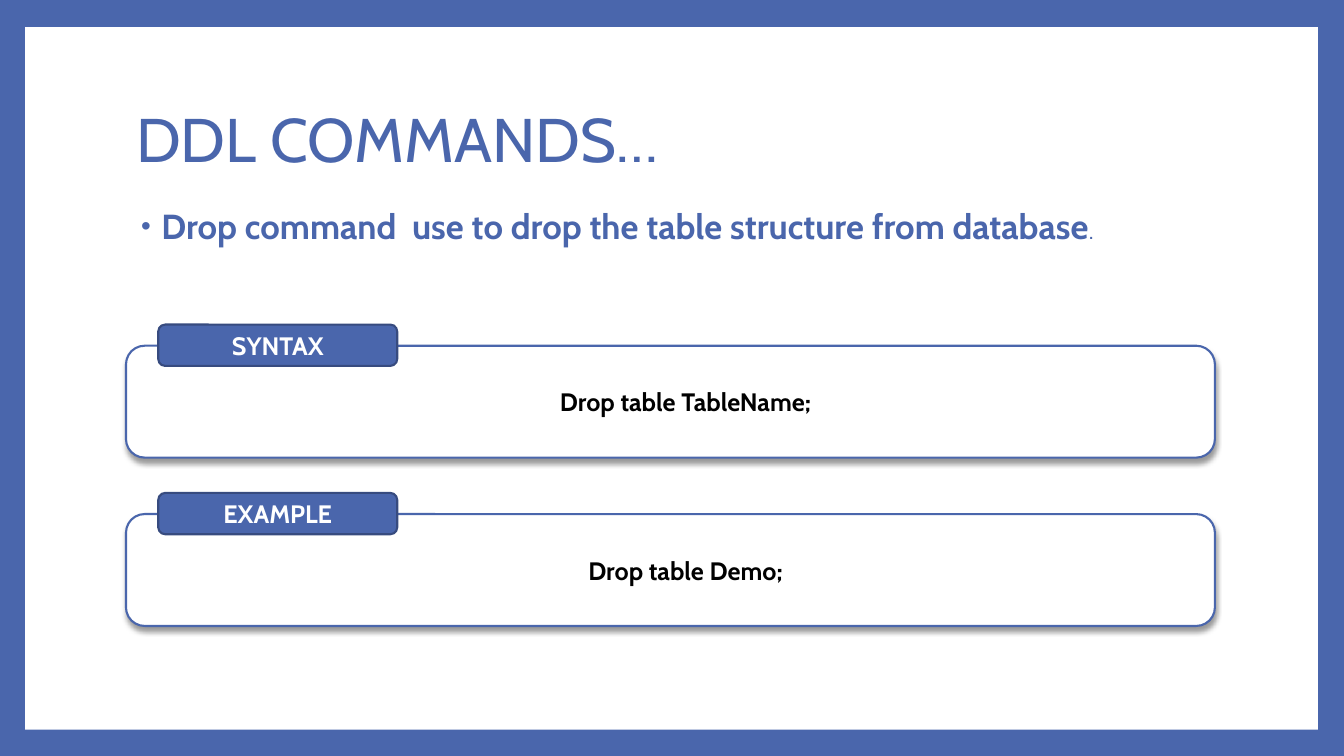
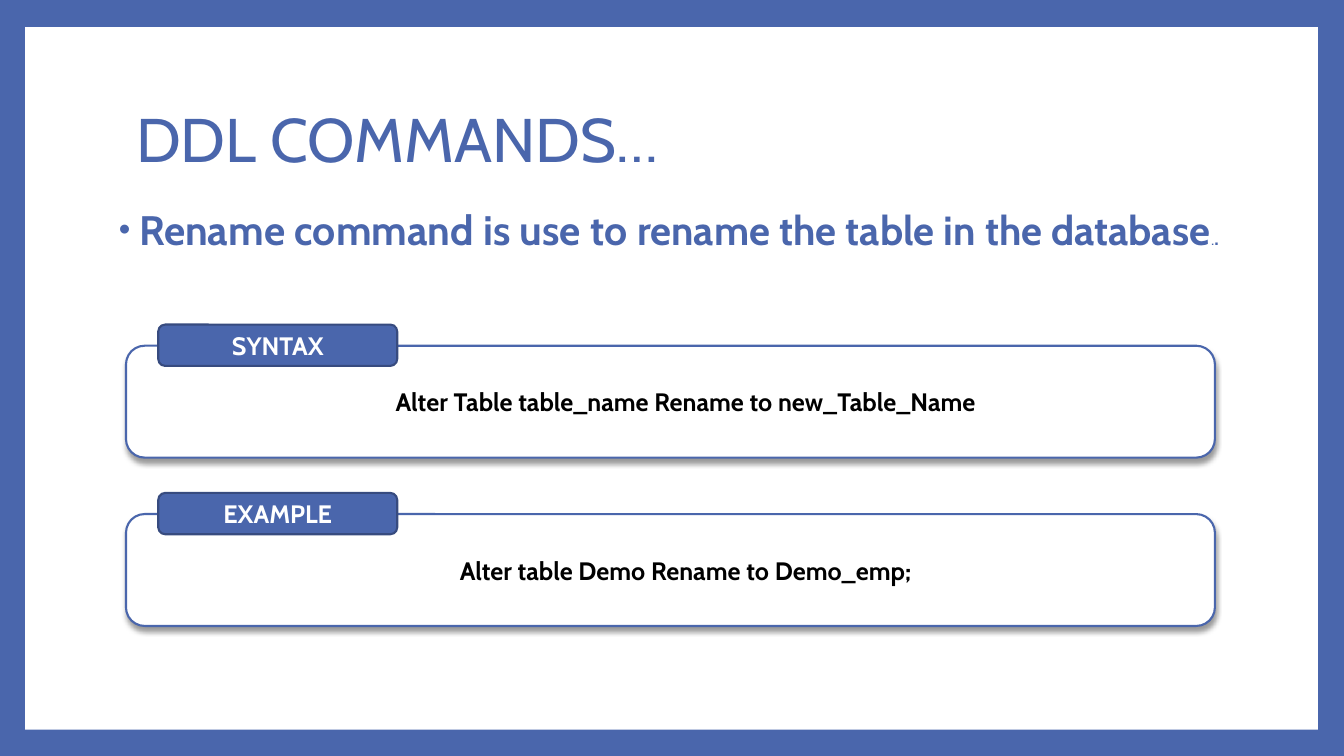
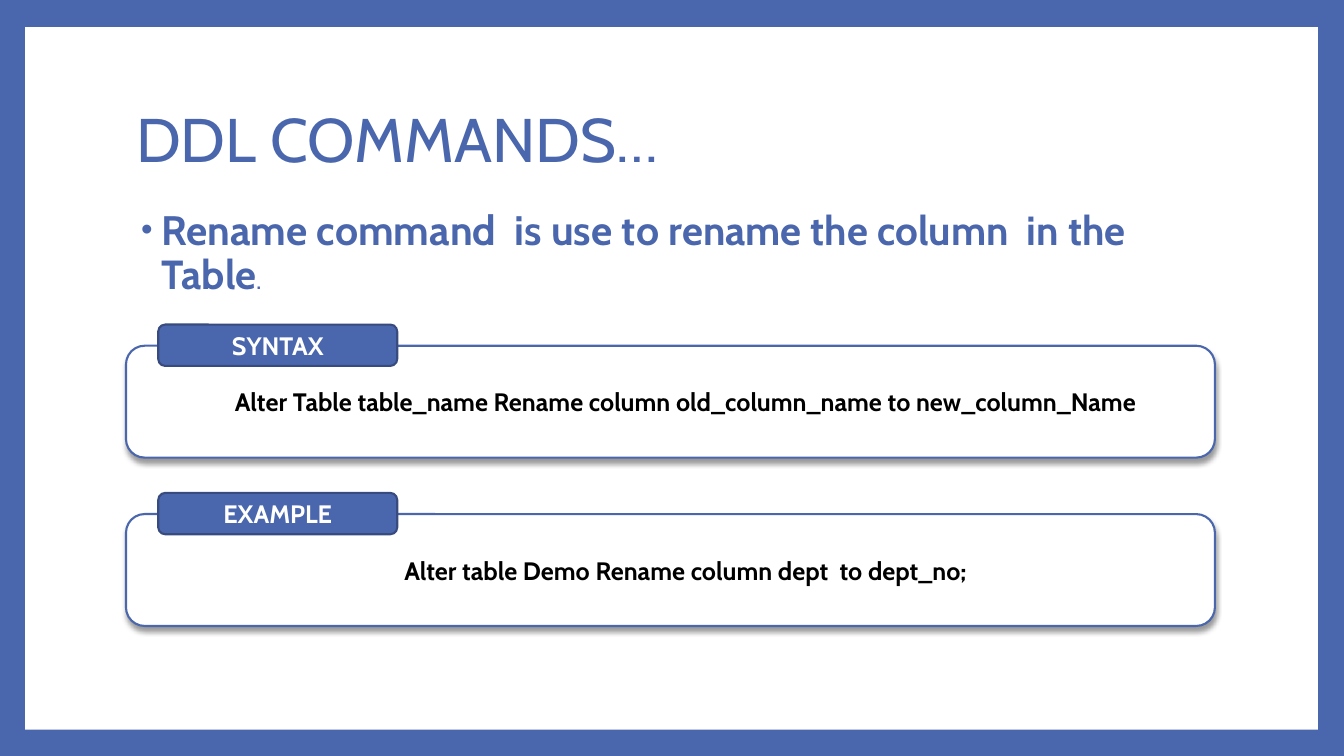
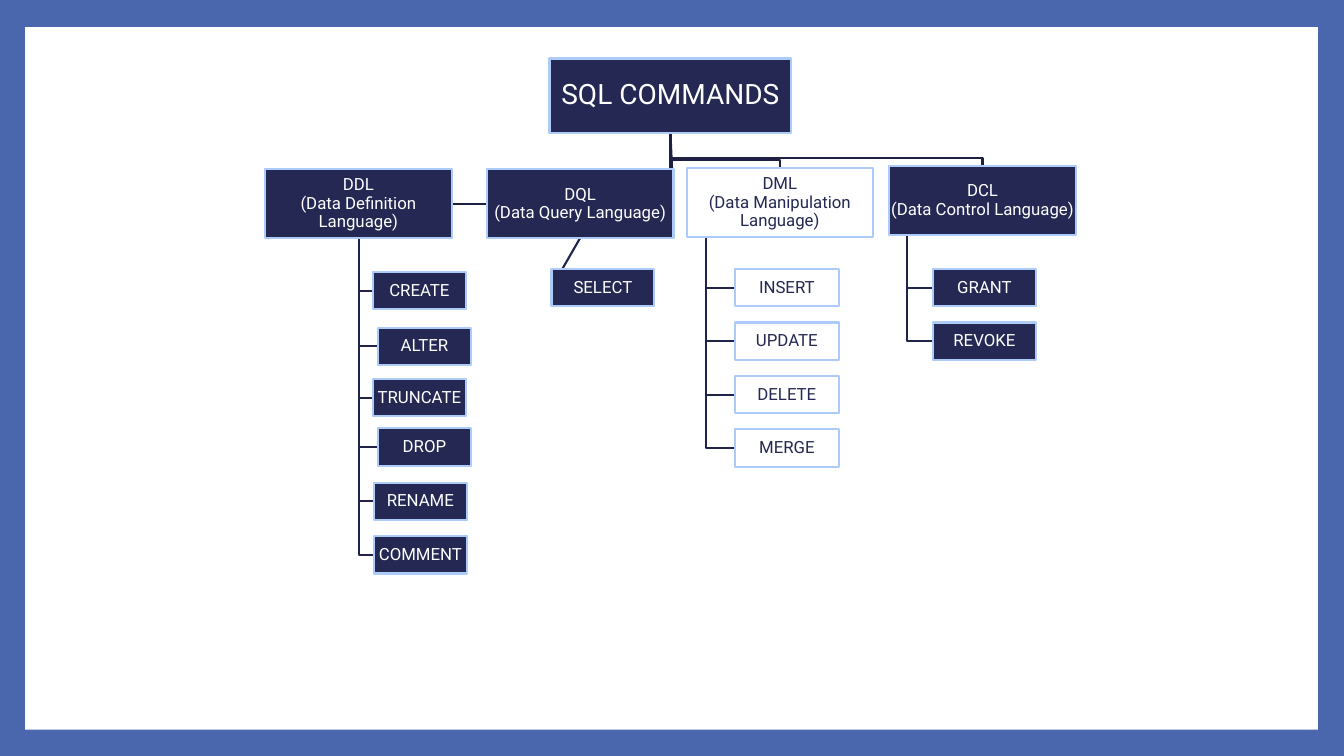
from dataclasses import dataclass

from lxml import etree
from pptx import Presentation
from pptx.dml.color import RGBColor
from pptx.enum.shapes import MSO_CONNECTOR, MSO_SHAPE
from pptx.enum.text import MSO_ANCHOR, MSO_AUTO_SIZE, PP_ALIGN
from pptx.oxml.ns import qn
from pptx.util import Inches, Pt

RECT, ROUNDED = MSO_SHAPE.RECTANGLE, MSO_SHAPE.ROUNDED_RECTANGLE
STRAIGHT = MSO_CONNECTOR.STRAIGHT
TOP, MIDDLE = MSO_ANCHOR.TOP, MSO_ANCHOR.MIDDLE
LEFT, CENTER = PP_ALIGN.LEFT, PP_ALIGN.CENTER
SIDE_LEFT, SIDE_BOTTOM, SIDE_RIGHT = 1, 2, 3
TITLE_AND_CONTENT, TITLE_ONLY = 1, 5


@dataclass(frozen=True)
class Theme:
    blue: str = "4A66AC"
    blue_edge: str = "374B7F"
    white: str = "FFFFFF"
    black: str = "000000"
    navy: str = "242852"
    sky: str = "ACCBF9"
    branch: str = "21244A"
    trunk: str = "1D2042"
    text_font: str = "Cabin"
    chart_font: str = "Roboto"
    title: float = 44
    code: float = 18
    root: float = 20
    node: float = 12
    line: float = 1.5


THEME = Theme()

# Content: command slides; each run of the lead is (text, size, bold)
COMMAND_TITLE = "DDL COMMANDS…"
COMMANDS = [
    {
        "lead": [("Drop command  use to drop the table structure from database", 24.8, True),
                 (".", 11.6, True)],
        "lead_at": (1.25, 10.8),
        "SYNTAX": "Drop table TableName;",
        "EXAMPLE": "Drop table Demo;",
    },
    {
        "lead": [("Rename command is use to ", 29.4, True),
                 ("rename the table in the database", 29, True),
                 (".", 11.4, False), (".", 13.8, True)],
        "lead_at": (1.03, 11.23),
        "SYNTAX": "Alter Table table_name Rename to new_Table_Name",
        "EXAMPLE": "Alter table Demo Rename to Demo_emp;",
    },
    {
        "lead": [("Rename command  is use to ", 29.4, True),
                 ("rename the column  in the Table", 29, True), (".", 13.8, True)],
        "lead_at": (1.25, 11),
        "SYNTAX": "Alter Table table_name Rename column old_column_name to new_column_Name",
        "EXAMPLE": "Alter table Demo Rename column dept  to dept_no;",
    },
]
CARD_TOPS = {"SYNTAX": 3.43, "EXAMPLE": 5.1}

# Content: command tree; left and top of each family, then of each command
ROOT = "SQL COMMANDS"
ROOT_AT = (5.45, 0.58, 2.4, 0.74)
FAMILY_SIZE = (1.85, 0.68)
ROW_TOP, ROW_PITCH, COMMAND_HEIGHT = 2.67, 0.53, 0.37


def column(left, *names):
    return [(name, left, ROW_TOP + i * ROW_PITCH) for i, name in enumerate(names)]


FAMILIES = {
    "DDL": {"text": "DDL\n(Data Definition Language)", "at": (2.63, 1.68),
            "stem": 3.56, "width": 0.92, "light": False,
            "commands": [("CREATE", 3.7, 2.7), ("ALTER", 3.75, 3.25),
                         ("TRUNCATE", 3.7, 3.76), ("DROP", 3.75, 4.25),
                         ("RENAME", 3.71, 4.79), ("COMMENT", 3.71, 5.32)]},
    "DQL": {"text": "DQL\n(Data Query Language)", "at": (4.83, 1.68),
            "stem": None, "width": 1.02, "light": False,
            "commands": column(5.47, "SELECT")},
    "DML": {"text": "DML\n(Data Manipulation Language)", "at": (6.81, 1.67),
            "stem": 7, "width": 1.03, "light": True,
            "commands": column(7.29, "INSERT", "UPDATE", "DELETE", "MERGE")},
    "DCL": {"text": "DCL\n(Data Control Language)", "at": (8.82, 1.65),
            "stem": 9, "width": 1.03, "light": False,
            "commands": column(9.25, "GRANT", "REVOKE")},
}


def rgb(code):
    return RGBColor.from_string(code)


def place(shape, left, top, width, height):
    shape.left, shape.top = Inches(left), Inches(top)
    shape.width, shape.height = Inches(width), Inches(height)


def write(shape, text, size=None, color=THEME.black, font=THEME.text_font, bold=False,
          align=CENTER, anchor=MIDDLE, spacing=1.0, inset=None):
    """Text is a string, or a list of (text, size, bold) runs."""
    frame = shape.text_frame
    frame.word_wrap, frame.auto_size = True, MSO_AUTO_SIZE.NONE
    frame.vertical_anchor = anchor
    if inset is not None:
        frame.margin_left = frame.margin_right = Inches(inset)
        frame.margin_top = frame.margin_bottom = Inches(inset)
    para = frame.paragraphs[0]
    para.alignment, para.line_spacing = align, spacing
    para.space_before = Pt(0)
    runs = [(text, size, bold)] if isinstance(text, str) else text
    for words, run_size, run_bold in runs:
        for i, line in enumerate(words.split("\n")):
            if i:
                para.add_line_break()
            run = para.add_run()
            run.text = line
            run.font.name, run.font.size, run.font.bold = font, Pt(run_size), run_bold
            run.font.color.rgb = rgb(color)
    return para


def indent(para, left, first=0):
    props = para._p.get_or_add_pPr()
    props.set("marL", str(Inches(left)))
    props.set("indent", str(Inches(first)))
    return props


def paint(shape, fill, line=None):
    shape.shadow.inherit = False
    shape.fill.solid()
    shape.fill.fore_color.rgb = rgb(fill)
    if line:
        shape.line.color.rgb = rgb(line)
        shape.line.width = Pt(THEME.line)
    else:
        shape.line.fill.background()


def add_box(slide, kind, at, fill, line=None):
    box = slide.shapes.add_shape(kind, *map(Inches, at))
    paint(box, fill, line)
    return box


def drop_shadow(shape):
    effects = shape._element.spPr.find(qn("a:effectLst"))
    shadow = etree.SubElement(effects, qn("a:outerShdw"), blurRad=str(Pt(4)),
                              dist=str(Pt(3)), dir="5400000", rotWithShape="0")
    color = etree.SubElement(shadow, qn("a:srgbClr"), val=THEME.black)
    etree.SubElement(color, qn("a:alpha"), val="40000")


def send_back(slide, shape):
    slide.shapes.element.insert(2, shape._element)


# Shared background and panel, kept on the master
def dress_master(prs, slide):
    master = prs.slide_master
    master.background.fill.solid()
    master.background.fill.fore_color.rgb = rgb(THEME.blue)
    panel = add_box(slide, RECT, (0.25, 0.27, 12.82, 6.97), THEME.white)
    master.shapes.element.insert(2, panel._element)


# Command slide: title, lead bullet, two labelled cards
def add_card(slide, label, code):
    top = CARD_TOPS[label]
    card = add_box(slide, ROUNDED, (1.25, top, 10.8, 1.11), THEME.white, THEME.blue)
    drop_shadow(card)
    indent(write(card, code, size=THEME.code, bold=True), 0.3)
    tab = add_box(slide, ROUNDED, (1.57, top - 0.21, 2.37, 0.41), THEME.blue, THEME.blue_edge)
    write(tab, label, size=THEME.code, color=THEME.white, bold=True)


def add_command_slide(prs, command):
    slide = prs.slides.add_slide(prs.slide_layouts[TITLE_AND_CONTENT])
    title, lead = slide.shapes.title, slide.placeholders[1]
    place(title, 1.25, 0.67, 10.8, 1.48)
    write(title, COMMAND_TITLE, size=THEME.title, color=THEME.blue, align=LEFT, spacing=0.9)

    left, width = command["lead_at"]
    place(lead, left, 2.03, width, 0.88)
    para = write(lead, command["lead"], color=THEME.blue, align=LEFT, anchor=TOP, spacing=0.9)
    props = indent(para, 0.25, -0.2)
    bullet_color = etree.SubElement(props, qn("a:buClr"))
    etree.SubElement(bullet_color, qn("a:srgbClr"), val=THEME.blue)
    etree.SubElement(props, qn("a:buSzPct"), val="80000")
    etree.SubElement(props, qn("a:buChar"), char="•")

    for label in CARD_TOPS:
        add_card(slide, label, command[label])
    return slide


# Tree slide: boxes first, then links sent behind them
def add_node(slide, text, at, light):
    fill, ink = (THEME.white, THEME.navy) if light else (THEME.navy, THEME.white)
    node = add_box(slide, RECT, at, fill, THEME.sky)
    write(node, text, size=THEME.node, color=ink, font=THEME.chart_font,
          spacing=0.9, inset=0.01)
    return node


def add_elbow(slide, points, color):
    start, *rest = [(Inches(x), Inches(y)) for x, y in points]
    builder = slide.shapes.build_freeform(*start)
    builder.add_line_segments(rest, close=False)
    elbow = builder.convert_to_shape()
    elbow.shadow.inherit = False
    elbow.fill.background()
    elbow.line.color.rgb, elbow.line.width = rgb(color), Pt(THEME.line)
    send_back(slide, elbow)


def add_link(slide, parent, child, child_side, color):
    link = slide.shapes.add_connector(STRAIGHT, 0, 0, 0, 0)
    link.begin_connect(parent, SIDE_BOTTOM)
    link.end_connect(child, child_side)
    link.line.color.rgb, link.line.width = rgb(color), Pt(THEME.line)
    etree.SubElement(link._element.spPr, qn("a:effectLst"))
    send_back(slide, link)


def add_tree_slide(prs):
    slide = prs.slides.add_slide(prs.slide_layouts[TITLE_ONLY])
    root = slide.shapes.title
    place(root, *ROOT_AT)
    paint(root, THEME.navy, THEME.sky)
    write(root, ROOT, size=THEME.root, color=THEME.white, font=THEME.chart_font,
          spacing=0.9, inset=0.01)

    heads = {}
    for name, family in FAMILIES.items():
        light, stem = family["light"], family["stem"]
        head = heads[name] = add_node(slide, family["text"], family["at"] + FAMILY_SIZE, light)
        head_bottom = family["at"][1] + FAMILY_SIZE[1]
        for text, left, top in family["commands"]:
            node = add_node(slide, text, (left, top, family["width"], COMMAND_HEIGHT), light)
            if stem is None:
                add_link(slide, head, node, SIDE_LEFT, THEME.branch)
            else:
                middle = top + COMMAND_HEIGHT / 2
                add_elbow(slide, [(stem, head_bottom), (stem, middle), (left, middle)],
                          THEME.branch)

    # Links from the root to the families
    left, top, width, height = ROOT_AT
    center, bottom = left + width / 2, top + height
    add_link(slide, root, heads["DQL"], SIDE_RIGHT, THEME.trunk)
    ddl_left, ddl_top = FAMILIES["DDL"]["at"]
    ddl_middle = ddl_top + FAMILY_SIZE[1] / 2
    add_elbow(slide, [(center, bottom), (center, ddl_middle),
                      (ddl_left + FAMILY_SIZE[0], ddl_middle)], THEME.trunk)
    for name in ("DML", "DCL"):
        head_left, head_top = FAMILIES[name]["at"]
        target, turn = head_left + FAMILY_SIZE[0] / 2, head_top - 0.08
        add_elbow(slide, [(center, bottom), (center, turn), (target, turn),
                          (target, head_top)], THEME.trunk)


def main():
    prs = Presentation()
    prs.slide_width, prs.slide_height = Inches(13.33), Inches(7.5)
    slides = [add_command_slide(prs, command) for command in COMMANDS]
    dress_master(prs, slides[0])
    add_tree_slide(prs)
    prs.save("out.pptx")


if __name__ == "__main__":
    main()
